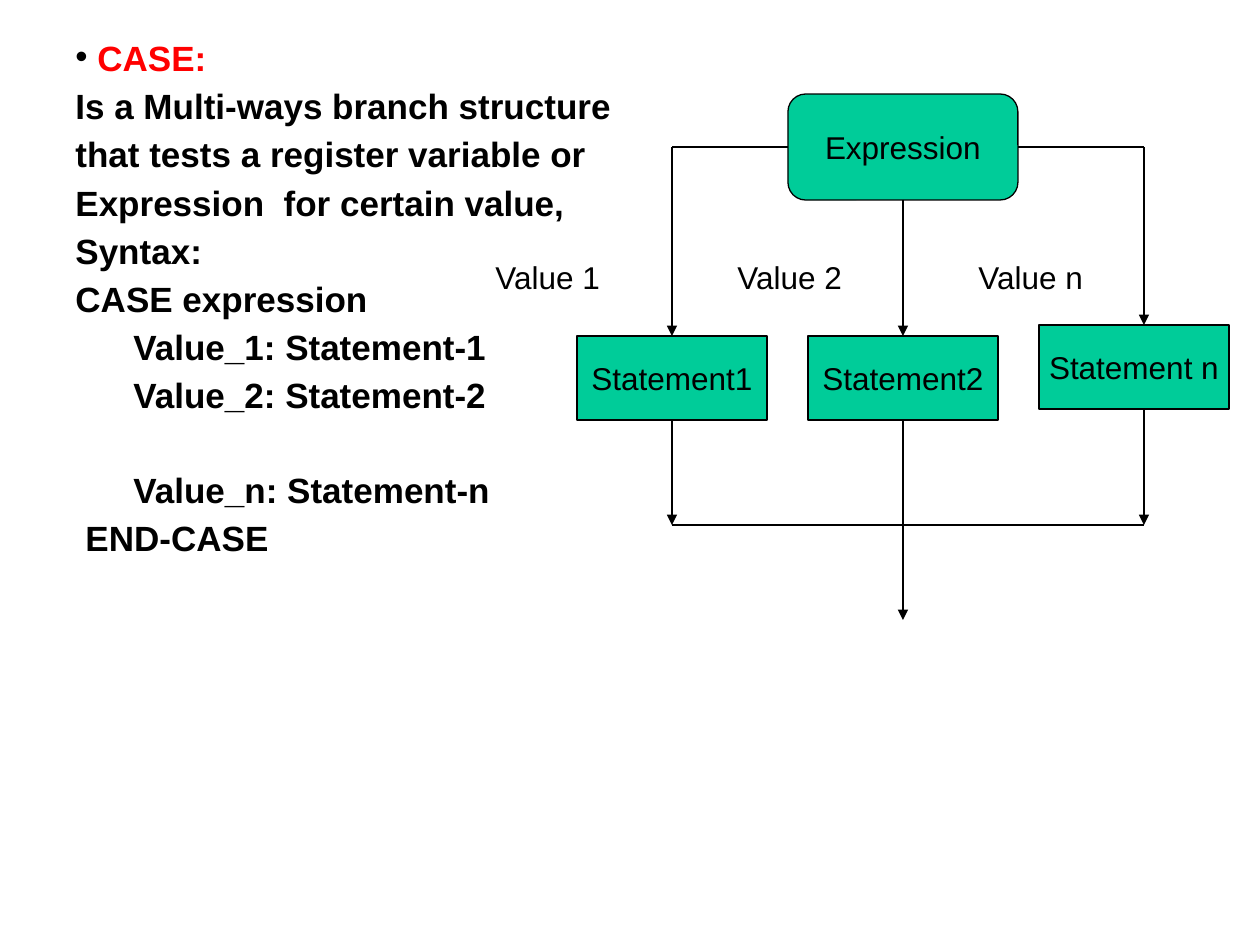
import pptx
import pptx.dml.color
import pptx.enum.shapes
import pptx.enum.text
import pptx.oxml
import pptx.oxml.ns
import pptx.util
from dataclasses import dataclass
from lxml import etree

EMU_PER_PX = 914400 // 126


@dataclass(frozen=True)
class Theme:
    font: str = "Arial"
    black: pptx.dml.color.RGBColor = pptx.dml.color.RGBColor(0, 0, 0)
    red: pptx.dml.color.RGBColor = pptx.dml.color.RGBColor(255, 0, 0)
    green: pptx.dml.color.RGBColor = pptx.dml.color.RGBColor(0, 204, 153)
    text_size: int = 20
    diagram_size: int = 18
    line_width: float = 0.75


theme = Theme()
TOP, LEFT, BOTTOM, RIGHT = range(4)


def px(*lengths):
    return [pptx.util.Emu(length * EMU_PER_PX) for length in lengths]


def format_runs(paragraph, size, color=theme.black, bold=False):
    for run in paragraph.runs:
        run.font.name = theme.font
        run.font.size = pptx.util.Pt(size)
        run.font.bold = bold
        run.font.color.rgb = color


presentation = pptx.Presentation()
presentation.slide_width, presentation.slide_height = px(1260, 945)
slide = presentation.slides.add_slide(presentation.slide_layouts[6])
shapes = slide.shapes

# Explanation and syntax: text, left indent in px, space before in points
NORMAL_GAP, SKIPPED_LINE_GAP = 10.7, 37.5
explanation = [
    ("CASE:", 22, NORMAL_GAP),
    ("Is a Multi-ways branch structure", 0, NORMAL_GAP),
    ("that tests a register variable or", 0, NORMAL_GAP),
    ("Expression  for certain value,", 0, NORMAL_GAP),
    ("Syntax:", 0, NORMAL_GAP),
    ("CASE expression", 0, NORMAL_GAP),
    ("Value_1: Statement-1", 58, NORMAL_GAP),
    ("Value_2: Statement-2", 58, NORMAL_GAP),
    ("Value_n: Statement-n", 58, SKIPPED_LINE_GAP),
    ("END-CASE", 10, NORMAL_GAP),
]
text_frame = shapes.add_textbox(*px(63, 42, 1155, 746)).text_frame
text_frame.word_wrap = True
text_frame.text = "\n".join(text for text, indent, gap in explanation)
for paragraph, (text, indent, gap) in zip(text_frame.paragraphs, explanation):
    paragraph.line_spacing = 0.7
    paragraph.space_before = pptx.util.Pt(gap)
    paragraph._p.get_or_add_pPr().set("marL", str(indent * EMU_PER_PX))
    format_runs(paragraph, theme.text_size, bold=True)

# Bulleted red heading
heading = text_frame.paragraphs[0]
format_runs(heading, theme.text_size, theme.red, bold=True)
properties = heading._p.get_or_add_pPr()
properties.set("indent", str(-22 * EMU_PER_PX))
bullet_color = etree.SubElement(properties, pptx.oxml.ns.qn("a:buClr"))
etree.SubElement(bullet_color, pptx.oxml.ns.qn("a:srgbClr"), val=str(theme.black))
etree.SubElement(properties, pptx.oxml.ns.qn("a:buFont"), typeface=theme.font)
etree.SubElement(properties, pptx.oxml.ns.qn("a:buChar"), char="•")

# Flowchart boxes
rounded = pptx.enum.shapes.MSO_SHAPE.FLOWCHART_ALTERNATE_PROCESS
process = pptx.enum.shapes.MSO_SHAPE.FLOWCHART_PROCESS
boxes = {}
for text, kind, left, top, width, height in [
    ("Expression", rounded, 788, 94, 230, 106),
    ("Statement1", process, 577, 336, 190, 84),
    ("Statement2", process, 808, 336, 190, 84),
    ("Statement n", process, 1039, 325, 190, 84),
]:
    shape = shapes.add_shape(kind, *px(left, top, width, height))
    shape.shadow.inherit = False
    shape.fill.solid()
    shape.fill.fore_color.rgb = theme.green
    shape.line.color.rgb = theme.black
    shape.line.width = pptx.util.Pt(theme.line_width)
    shape.text_frame.word_wrap = False
    shape.text_frame.vertical_anchor = pptx.enum.text.MSO_ANCHOR.MIDDLE
    shape.text_frame.text = text
    paragraph = shape.text_frame.paragraphs[0]
    paragraph.alignment = pptx.enum.text.PP_ALIGN.CENTER
    format_runs(paragraph, theme.diagram_size)
    boxes[text] = shape

# Branch lines: ends in px, arrowhead, joined box and side at each end
FIRST, SECOND, LAST = 672, 903, 1144
BRANCH, JOIN, EXIT = 147, 525, 620
for start, end, arrow, begin_joint, end_joint in [
    ((788, BRANCH), (FIRST, BRANCH), False, ("Expression", LEFT), None),
    ((1018, BRANCH), (LAST, BRANCH), False, ("Expression", RIGHT), None),
    ((FIRST, BRANCH), (FIRST, 336), True, None, ("Statement1", TOP)),
    ((SECOND, 200), (SECOND, 336), True, ("Expression", BOTTOM), ("Statement2", TOP)),
    ((LAST, BRANCH), (LAST, 325), True, None, None),
    ((FIRST, JOIN), (LAST, JOIN), False, None, None),
    ((FIRST, 420), (FIRST, JOIN), True, ("Statement1", BOTTOM), None),
    ((SECOND, 420), (SECOND, EXIT), True, ("Statement2", BOTTOM), None),
    ((LAST, 409), (LAST, JOIN), True, None, None),
]:
    connector = shapes.add_connector(
        pptx.enum.shapes.MSO_CONNECTOR.STRAIGHT, *px(*start, *end))
    connector.line.color.rgb = theme.black
    connector.line.width = pptx.util.Pt(theme.line_width)
    if begin_joint:
        connector.begin_connect(boxes[begin_joint[0]], begin_joint[1])
    if end_joint:
        connector.end_connect(boxes[end_joint[0]], end_joint[1])
    if arrow:
        etree.SubElement(connector.line._get_or_add_ln(),
                         pptx.oxml.ns.qn("a:tailEnd"), type="triangle")
    etree.SubElement(connector._element.spPr, pptx.oxml.ns.qn("a:effectLst"))

# Branch labels
for text, left in [("Value 1", 483), ("Value 2", 725), ("Value n", 966)]:
    label = shapes.add_textbox(*px(left, 252, 156, 50)).text_frame
    label.word_wrap = True
    label.text = text
    format_runs(label.paragraphs[0], theme.diagram_size)

presentation.save("out.pptx")
